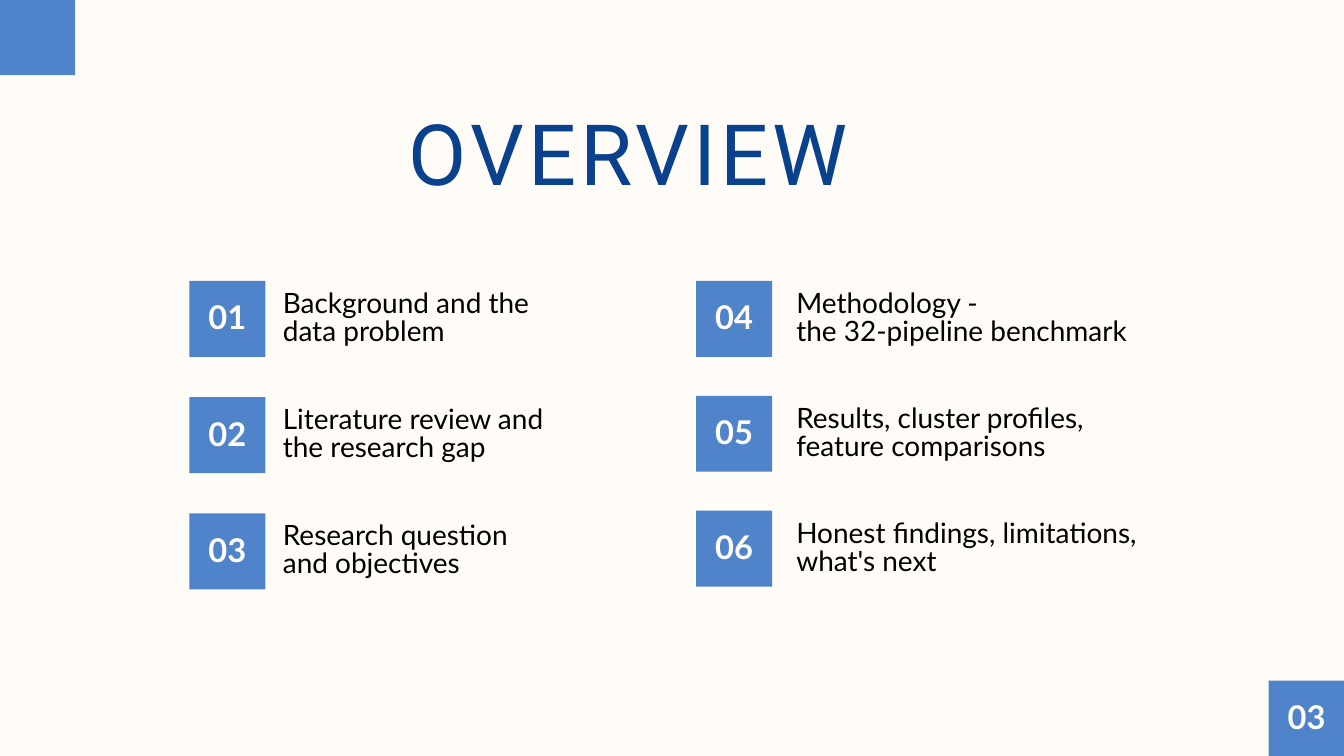
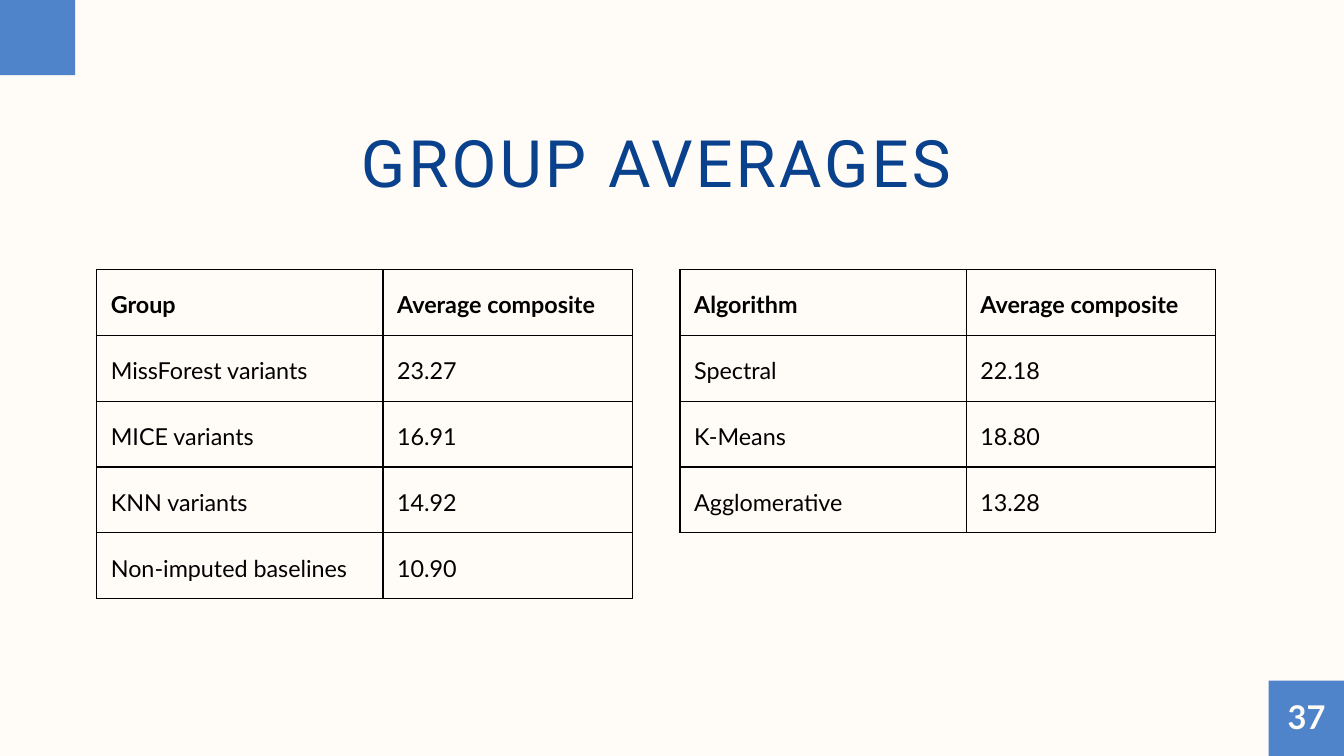
import pptx
import pptx.dml.color
import pptx.enum.shapes
import pptx.enum.text
import pptx.oxml
import pptx.oxml.ns
import pptx.util

PX = 9144  # EMU per px, 100 px to the inch
RGBColor = pptx.dml.color.RGBColor
CREAM = RGBColor(0xFF, 0xFB, 0xF7)
BLUE = RGBColor(0x15, 0x5C, 0xBB)
NAVY = RGBColor(0x09, 0x41, 0x8C)
BLACK = RGBColor(0x00, 0x00, 0x00)
LEFT = pptx.enum.text.PP_ALIGN.LEFT
CENTER = pptx.enum.text.PP_ALIGN.CENTER
Pt = pptx.util.Pt
qn = pptx.oxml.ns.qn
NS = pptx.oxml.ns.nsdecls("a")
SQUARE = 113
CORNER = 112


def add_text(s, box, lines, font, size, color, align=LEFT, leading=None, bold=False, tracking=0):
    """Add one paragraph per line; leading is in points and defaults to the size."""
    tf = s.shapes.add_textbox(*(v * PX for v in box)).text_frame
    tf.word_wrap = True
    tf.auto_size = pptx.enum.text.MSO_AUTO_SIZE.SHAPE_TO_FIT_TEXT
    tf.margin_left = tf.margin_right = tf.margin_top = tf.margin_bottom = 0
    for i, line in enumerate(lines):
        p = tf.paragraphs[0] if i == 0 else tf.add_paragraph()
        r = p.add_run()
        r.text = line
        if tracking:
            r._r.get_or_add_rPr().set("spc", str(tracking))
        p.alignment = align
        p.line_spacing = Pt(leading or size)
        p.font.name, p.font.size, p.font.bold = font, Pt(size), bold
        p.font.color.rgb = color


def add_square(s, x, y, side, number=None):
    """Add a translucent blue square, with its number if one is given."""
    sp = s.shapes.add_shape(pptx.enum.shapes.MSO_SHAPE.RECTANGLE, x * PX, y * PX, side * PX, side * PX)
    sp.shadow.inherit = False
    sp.line.fill.background()
    sp.fill.solid()
    sp.fill.fore_color.rgb = BLUE
    clr = sp._element.spPr.find(qn("a:solidFill"))[0]
    clr.append(pptx.oxml.parse_xml(f'<a:alpha {NS} val="75000"/>'))
    if number is not None:
        add_text(s, (x + 10, y + 34, 93, 52), [f"{number:02d}"], "Lato", 35, CREAM, CENTER, bold=True)


prs = pptx.Presentation()
prs.slide_width, prs.slide_height = 2000 * PX, 1125 * PX

# Title, title box, size, leading, tracking (1/100 pt), page number
pages = [
    ("OVERVIEW", (282, 175, 1307, 131), 90.6, 90.6, 450, 3),
    ("GROUP AVERAGES", (144, 180, 1665, 117), 70, 85.4, 330, 37),
]
slides = []
for title, box, size, leading, tracking, page in pages:
    s = prs.slides.add_slide(prs.slide_layouts[6])
    s.background.fill.solid()
    s.background.fill.fore_color.rgb = CREAM
    add_text(s, box, [title], "Roboto", size, NAVY, CENTER, leading, tracking=tracking)
    add_square(s, 0, 0, CORNER)
    add_square(s, 2000 - CORNER, 1125 - CORNER, CORNER, page)
    slides.append(s)
overview, averages = slides

# Overview: square left, text left, row pitch, topics
columns = [
    (282, 421, 173, [
        ("Background and the", "data problem"),
        ("Literature review and", "the research gap"),
        ("Research question", "and objectives"),
    ]),
    (1036, 1185, 171, [
        ("Methodology -", "the 32-pipeline benchmark"),
        ("Results, cluster profiles,", "feature comparisons"),
        ("Honest findings, limitations,", "what's next"),
    ]),
]
number = 0
for square_x, text_x, pitch, topics in columns:
    for row, lines in enumerate(topics):
        number += 1
        y = 418 + row * pitch
        add_square(overview, square_x, y, SQUARE, number)
        add_text(overview, (text_x, y + 15, 533, 87), lines, "Lato", 30, BLACK)

# Group averages: table left, rows
tables = [
    (144, [
        ("Group", "Average composite"),
        ("MissForest variants", "23.27"),
        ("MICE variants", "16.91"),
        ("KNN variants", "14.92"),
        ("Non-imputed baselines", "10.90"),
    ]),
    (1012, [
        ("Algorithm", "Average composite"),
        ("Spectral", "22.18"),
        ("K-Means", "18.80"),
        ("Agglomerative", "13.28"),
    ]),
]
COL_WIDTHS = (426, 371)
ROW_HEIGHT = 98
for x, rows in tables:
    table = averages.shapes.add_table(
        len(rows), 2, x * PX, 401 * PX, sum(COL_WIDTHS) * PX, len(rows) * ROW_HEIGHT * PX).table
    table.first_row = table.horz_banding = False
    for column, width in zip(table.columns, COL_WIDTHS):
        column.width = width * PX
    for i, values in enumerate(rows):
        table.rows[i].height = ROW_HEIGHT * PX
        for j, value in enumerate(values):
            cell = table.cell(i, j)
            cell.text = value
            cell.vertical_anchor = pptx.enum.text.MSO_ANCHOR.MIDDLE
            cell.margin_left = cell.margin_right = cell.margin_top = cell.margin_bottom = 21 * PX
            cell.fill.background()
            tcPr = cell._tc.get_or_add_tcPr()
            for k, side in enumerate("LRTB"):
                tcPr.insert(k, pptx.oxml.parse_xml(
                    f'<a:ln{side} {NS} w="{Pt(1.5)}"><a:solidFill>'
                    f'<a:srgbClr val="{BLACK}"/></a:solidFill></a:ln{side}>'))
            p = cell.text_frame.paragraphs[0]
            p.line_spacing = Pt(35)
            p.font.name, p.font.size, p.font.bold = "Lato", Pt(25), i == 0
            p.font.color.rgb = BLACK

prs.save("out.pptx")
